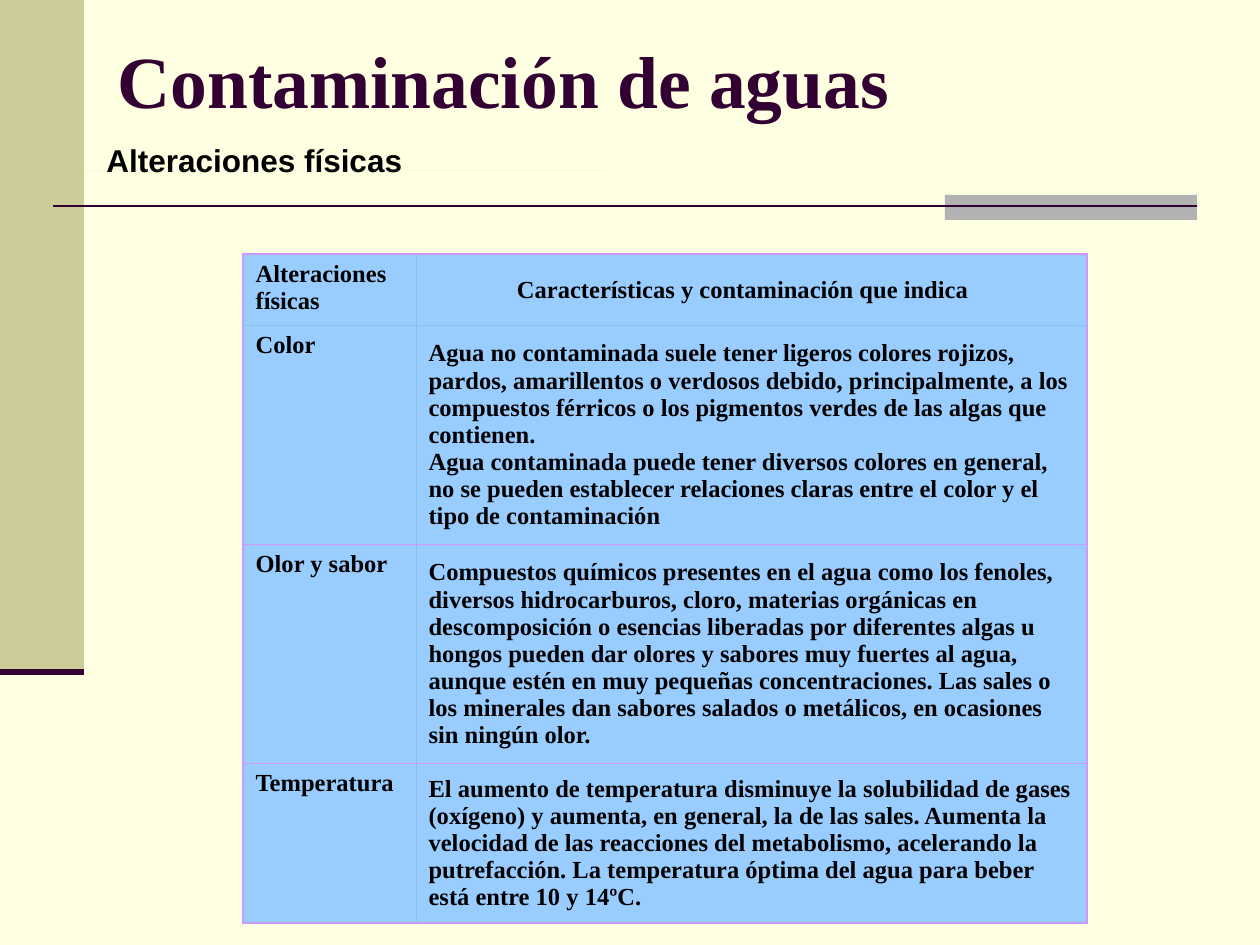
"""Build the slide on physical alterations of polluted water."""
from lxml.etree import SubElement
from pptx import Presentation
from pptx.dml.color import RGBColor
from pptx.enum.shapes import MSO_CONNECTOR as CONNECTOR, MSO_SHAPE as SHAPE
from pptx.enum.text import MSO_ANCHOR as ANCHOR
from pptx.oxml.ns import qn
from pptx.util import Pt

EMU_PER_PIXEL = 914400 / 126
COLORS = {
    "background": "FFFFE1", "band": "CCCC99", "accent": "B2B2B2",
    "dark": "330033", "text": "000000", "cell": "99CCFF",
    "border": "CC99FF", "faint": "8FBFE8",
}
TITLE = {"size": Pt(42), "name": "Times New Roman", "bold": True}
SUBTITLE = {"size": Pt(18), "name": "Arial", "bold": True}
BODY = {"size": Pt(14), "name": "Times New Roman", "bold": True}
COLUMNS = [173, 671]
ROW_HEIGHTS = [71, 219, 219, 159]
HEADER_MARGIN = 101
ROWS = [
    ("Alteraciones físicas", ["Características y contaminación que indica"]),
    ("Color", [
        "Agua no contaminada suele tener ligeros colores rojizos, pardos, "
        "amarillentos o verdosos debido, principalmente, a los compuestos "
        "férricos o los pigmentos verdes de las algas que contienen.",
        "Agua contaminada puede tener diversos colores en general, no se "
        "pueden establecer relaciones claras entre el color y el tipo de "
        "contaminación"]),
    ("Olor y sabor", [
        "Compuestos químicos presentes en el agua como los fenoles, diversos "
        "hidrocarburos, cloro, materias orgánicas en descomposición o esencias "
        "liberadas por diferentes algas u hongos pueden dar olores y sabores "
        "muy fuertes al agua, aunque estén en muy pequeñas concentraciones. "
        "Las sales o los minerales dan sabores salados o metálicos, en "
        "ocasiones sin ningún olor."]),
    ("Temperatura", [
        "El aumento de temperatura disminuye la solubilidad de gases (oxígeno) "
        "y aumenta, en general, la de las sales. Aumenta la velocidad de las "
        "reacciones del metabolismo, acelerando la putrefacción. La "
        "temperatura óptima del agua para beber está entre 10 y 14ºC."]),
]


def px(*lengths):
    """Turn pixel lengths into a list of EMU."""
    return [round(length * EMU_PER_PIXEL) for length in lengths]


def paint(fill, color):
    """Give a fill one solid colour."""
    fill.solid()
    fill.fore_color.rgb = RGBColor.from_string(COLORS[color])


def write(frame, paragraphs, style, color):
    """Write paragraphs in one font style."""
    for index, text in enumerate(paragraphs):
        paragraph = frame.add_paragraph() if index else frame.paragraphs[0]
        run = paragraph.add_run()
        run.text = text
        for attribute, value in style.items():
            setattr(run.font, attribute, value)
        run.font.color.rgb = RGBColor.from_string(COLORS[color])


def add_block(slide, box, color):
    """Add a plain rectangle."""
    shape = slide.shapes.add_shape(SHAPE.RECTANGLE, *px(*box))
    shape.shadow.inherit = False
    paint(shape.fill, color)
    shape.line.fill.background()


def add_rule(slide, ends, width):
    """Add a dark straight line."""
    line = slide.shapes.add_connector(CONNECTOR.STRAIGHT, *px(*ends))
    line.line.width = Pt(width)
    line.line.color.rgb = RGBColor.from_string(COLORS["dark"])
    SubElement(line._element.spPr, qn("a:effectLst"))


def add_text(slide, box, text, style, color, wrap):
    """Add a vertically centred text box."""
    frame = slide.shapes.add_textbox(*px(*box)).text_frame
    frame.word_wrap = wrap
    frame.vertical_anchor = ANCHOR.MIDDLE
    write(frame, [text], style, color)


def add_borders(cell, faint_sides):
    """Draw the four cell borders, thin and faint on the given sides."""
    properties = cell._tc.get_or_add_tcPr()
    for side in "LRTB":
        faint = side in faint_sides
        width = Pt(0.5 if faint else 1)
        line = SubElement(properties, qn(f"a:ln{side}"), w=str(width))
        fill = SubElement(line, qn("a:solidFill"))
        color = COLORS["faint" if faint else "border"]
        SubElement(fill, qn("a:srgbClr"), val=color)


def add_alterations_table(slide, left, top):
    """Add the table of physical alterations."""
    box = px(left, top, sum(COLUMNS), sum(ROW_HEIGHTS))
    table = slide.shapes.add_table(len(ROWS), len(COLUMNS), *box).table
    table.horz_banding = table.first_row = False
    for column, width in zip(table.columns, px(*COLUMNS)):
        column.width = width
    for row, height in zip(table.rows, px(*ROW_HEIGHTS)):
        row.height = height
    for index, (name, details) in enumerate(ROWS):
        header_side = {0: "B", 1: "T"}.get(index, "")
        for column, paragraphs in enumerate([[name], details]):
            cell = table.cell(index, column)
            add_borders(cell, "RL"[column] + header_side)
            paint(cell.fill, "cell")
            cell.vertical_anchor = ANCHOR.MIDDLE if column else ANCHOR.TOP
            write(cell.text_frame, paragraphs, BODY, "text")
    table.cell(0, 1).margin_left = px(HEADER_MARGIN)[0]


def main():
    """Build and save the presentation."""
    presentation = Presentation()
    presentation.slide_width, presentation.slide_height = px(1260, 945)
    slide = presentation.slides.add_slide(presentation.slide_layouts[6])
    paint(slide.background.fill, "background")
    add_block(slide, (0, 0, 84, 672), "band")
    add_block(slide, (945, 195, 252, 25), "accent")
    add_rule(slide, (53, 206, 1197, 206), 1.5)
    add_rule(slide, (0, 672, 84, 672), 3.5)
    add_text(slide, (105, 0, 1071, 158), "Contaminación de aguas", TITLE, "dark", True)
    add_text(slide, (94, 135, 321, 50), "Alteraciones físicas", SUBTITLE, "text", False)
    add_block(slide, (0, 171, 607, 0), "cell")
    add_alterations_table(slide, 243, 254)
    presentation.save("out.pptx")


main()
